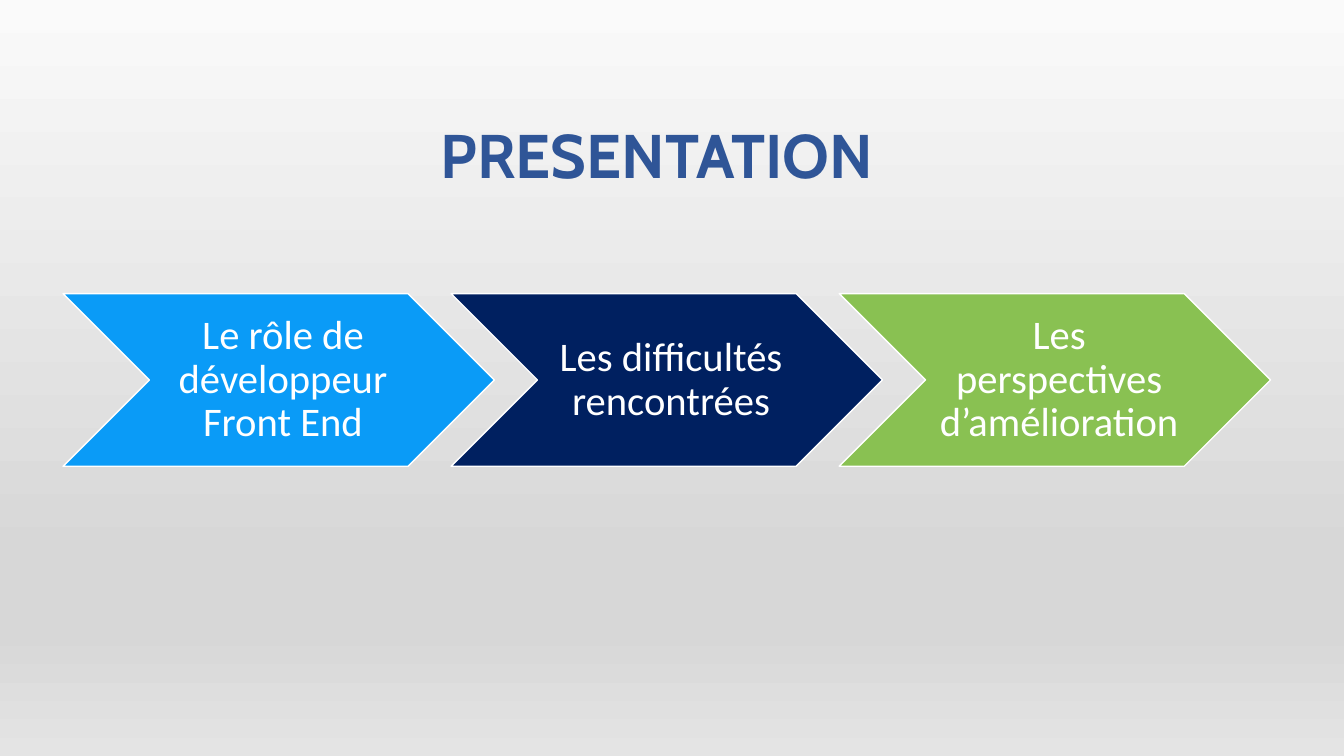
from lxml import etree
from pptx import Presentation
from pptx.dml.color import RGBColor
from pptx.enum.shapes import MSO_SHAPE
from pptx.enum.text import MSO_ANCHOR, MSO_AUTO_SIZE, PP_ALIGN
from pptx.oxml.ns import qn
from pptx.util import Cm, Pt


def rgb(color):
    return RGBColor.from_string(color)


def format_text(tf, text, anchor, font, size, color, bold=False):
    tf.text = text
    tf.word_wrap = True
    tf.auto_size = MSO_AUTO_SIZE.NONE
    tf.vertical_anchor = anchor
    p = tf.paragraphs[0]
    p.alignment = PP_ALIGN.CENTER
    p.line_spacing = 0.9
    p.font.name = font
    p.font.size = Pt(size)
    p.font.bold = bold
    p.font.color.rgb = rgb(color)


prs = Presentation()
prs.slide_width = Cm(33.87)
prs.slide_height = Cm(19.05)
s = prs.slides.add_slide(prs.slide_layouts[5])

fill = s.background.fill
fill.gradient()
fill.gradient_angle = 270
stops = s.background._cSld.find(".//" + qn("a:gsLst"))
for stop in list(stops):
    stops.remove(stop)
for position, color in [(0, "FAFAFA"), (74, "D7D7D7"), (83, "D7D7D7"), (100, "E4E4E4")]:
    stop = etree.SubElement(stops, qn("a:gs"), pos=str(position * 1000))
    etree.SubElement(stop, qn("a:srgbClr"), val=color)

title = s.shapes.title
title.left, title.top, title.width, title.height = Cm(3.86), Cm(0.36), Cm(25.4), Cm(4.6)
format_text(title.text_frame, "PRESENTATION", MSO_ANCHOR.BOTTOM, "Cabin", 44, "2F5597", True)

steps = [
    ("Le rôle de développeur Front End", "0A9BF7"),
    ("Les difficultés rencontrées", "002060"),
    ("Les perspectives d’amélioration", "89C152"),
]
for i, (text, color) in enumerate(steps):
    sp = s.shapes.add_shape(MSO_SHAPE.CHEVRON, Cm(1.59 + 9.78 * i), Cm(7.4), Cm(10.87), Cm(4.35))
    sp.shadow.inherit = False
    sp.fill.solid()
    sp.fill.fore_color.rgb = rgb(color)
    sp.line.color.rgb = rgb("FFFFFF")
    sp.line.width = Pt(1)
    tf = sp.text_frame
    tf.margin_left = Cm(0.32)
    tf.margin_top = tf.margin_right = tf.margin_bottom = Cm(0.1)
    format_text(tf, text, MSO_ANCHOR.MIDDLE, "Calibri", 29, "FFFFFF")

prs.save("out.pptx")
